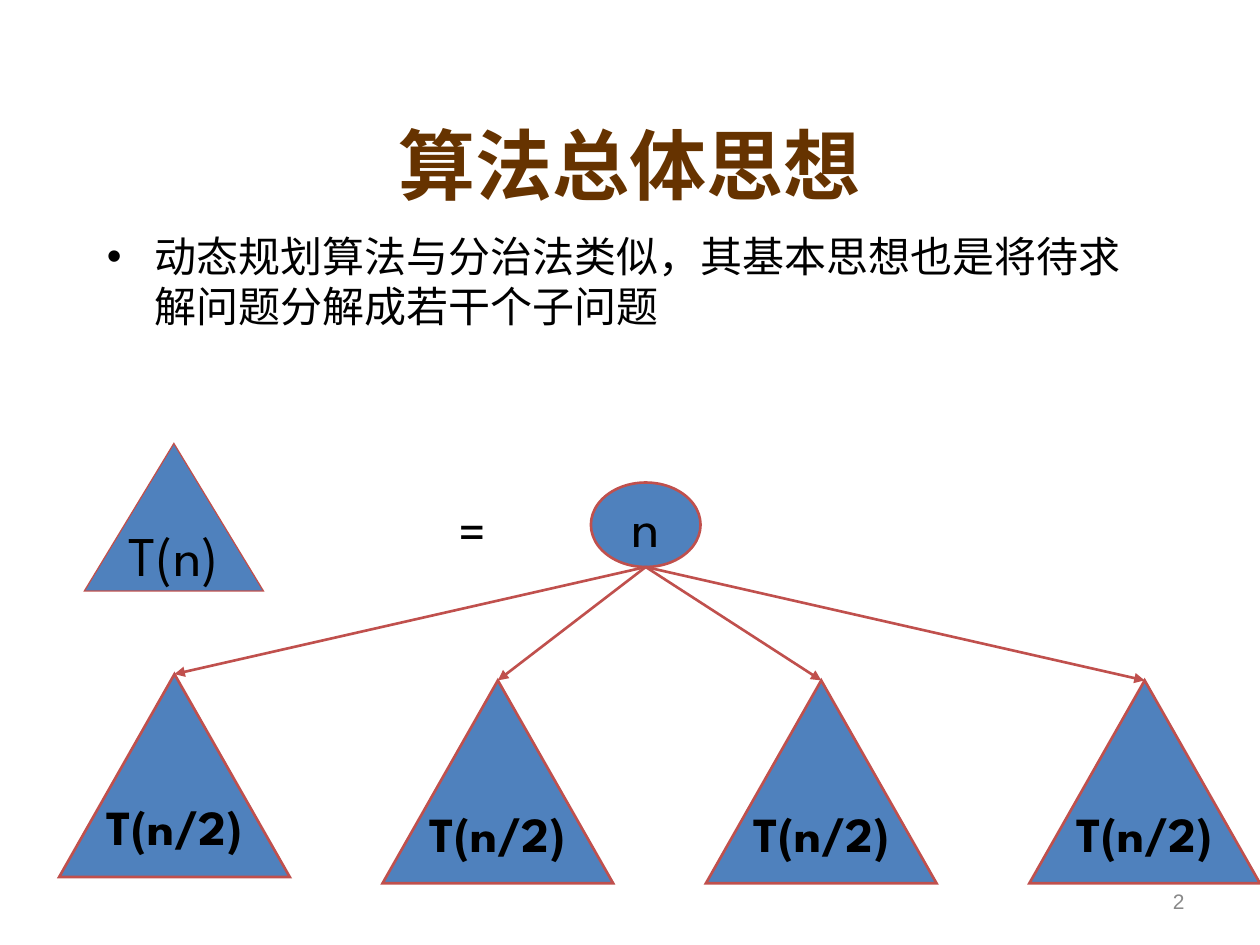
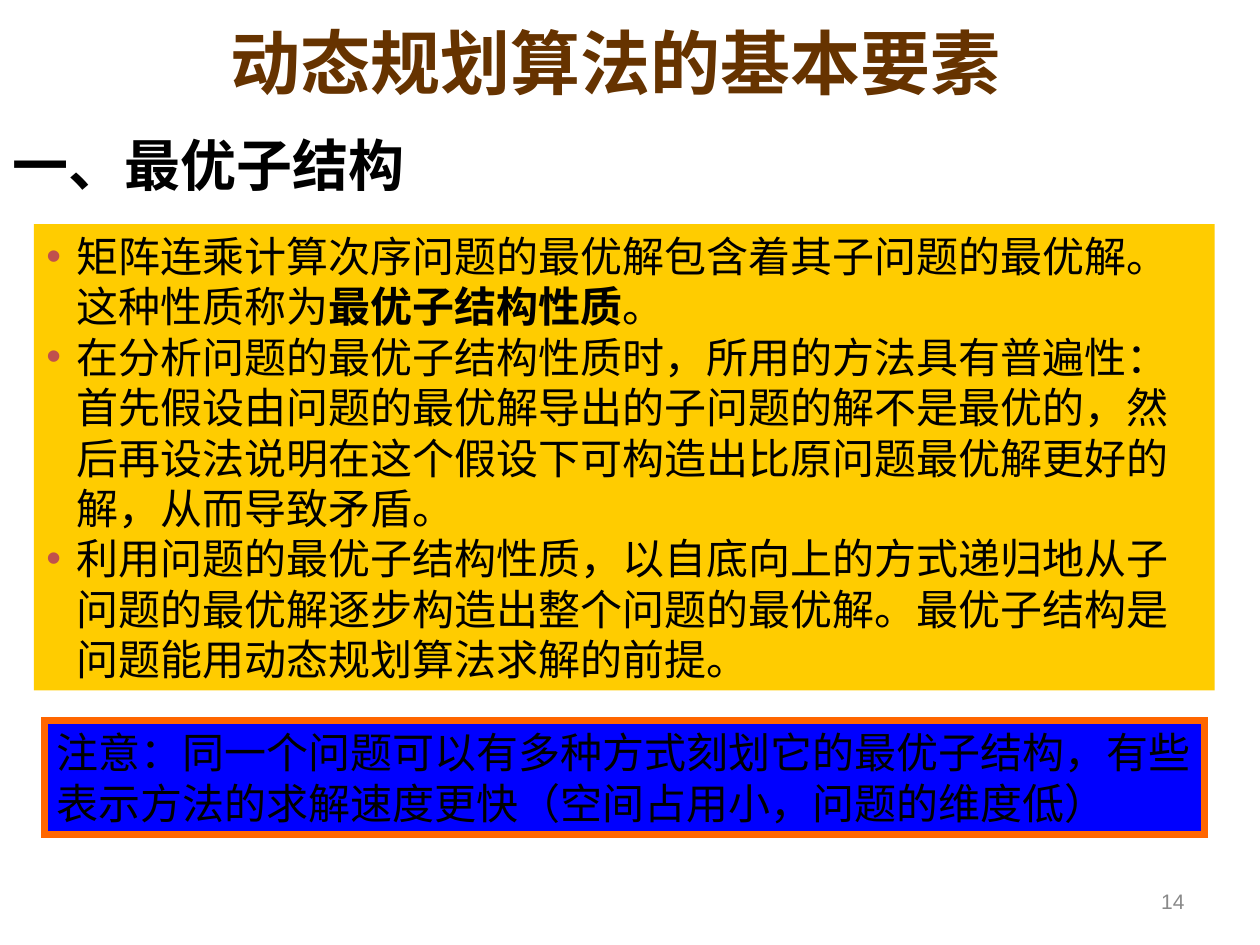
from lxml import etree
from pptx import Presentation
from pptx.dml.color import RGBColor
from pptx.enum.shapes import MSO_CONNECTOR, MSO_SHAPE
from pptx.enum.text import MSO_ANCHOR, MSO_AUTO_SIZE, PP_ALIGN
from pptx.oxml.ns import qn
from pptx.util import Inches, Pt

BLACK = RGBColor(0x00, 0x00, 0x00)
BROWN = RGBColor(0x66, 0x33, 0x00)
GREY = RGBColor(0x89, 0x89, 0x89)
BLUE = RGBColor(0x4F, 0x81, 0xBD)
RED = RGBColor(0xC0, 0x50, 0x4D)
GOLD = RGBColor(0xFF, 0xCC, 0x00)
DEEP_BLUE = RGBColor(0x00, 0x00, 0xFF)
ORANGE = RGBColor(0xFF, 0x66, 0x00)

ARIAL, TIMES = "Arial", "Times New Roman"
SPARTAN, CJK = "League Spartan", "Noto Sans CJK SC"

LEFT, CENTER, RIGHT = PP_ALIGN.LEFT, PP_ALIGN.CENTER, PP_ALIGN.RIGHT
TOP, MIDDLE, BOTTOM = MSO_ANCHOR.TOP, MSO_ANCHOR.MIDDLE, MSO_ANCHOR.BOTTOM
FIT, FIXED = MSO_AUTO_SIZE.SHAPE_TO_FIT_TEXT, MSO_AUTO_SIZE.NONE
TRIANGLE, OVAL, RECTANGLE = (
    MSO_SHAPE.ISOSCELES_TRIANGLE, MSO_SHAPE.OVAL, MSO_SHAPE.RECTANGLE)
STRAIGHT = MSO_CONNECTOR.STRAIGHT

SUBPROBLEMS = 4
ELEMENTS = [
    [("矩阵连乘计算次序问题的最优解包含着其子问题的最优解。这种性质称为", False),
     ("最优子结构性质", True), ("。", False)],
    [("在分析问题的最优子结构性质时，所用的方法具有普遍性：首先假设由问题的最优解"
      "导出的子问题的解不是最优的，然后再设法说明在这个假设下可构造出比原问题最优解"
      "更好的解，从而导致矛盾。", False)],
    [("利用问题的最优子结构性质，以自底向上的方式递归地从子问题的最优解逐步构造出"
      "整个问题的最优解。最优子结构是问题能用动态规划算法求解的前提。", False)],
]


def inches(box):
    """Turn a tuple of numbers into lengths."""
    return [Inches(value) for value in box]


def add_run(paragraph, text, size, font, color=BLACK, bold=False):
    """Append a run with its Latin and East Asian fonts."""
    run = paragraph.add_run()
    run.text = text
    formats = {"size": Pt(size), "name": font, "bold": bold}
    for name, value in formats.items():
        setattr(run.font, name, value)
    run.font.color.rgb = color
    east_asian = etree.SubElement(run.font._element, qn("a:ea"))
    east_asian.set("typeface", CJK)


def add_bullet(paragraph, indent, color):
    """Give a paragraph a hanging round bullet."""
    properties = paragraph._p.get_or_add_pPr()
    properties.set("marL", str(Inches(indent)))
    properties.set("indent", str(-Inches(indent)))
    bullet_color = etree.SubElement(properties, qn("a:buClr"))
    etree.SubElement(bullet_color, qn("a:srgbClr")).set("val", str(color))
    etree.SubElement(properties, qn("a:buFont")).set("typeface", ARIAL)
    etree.SubElement(properties, qn("a:buChar")).set("char", "•")


def prepare_frame(shape, align, anchor=TOP, wrap=True, grow=False):
    """Set the layout of a text frame and return its first paragraph."""
    frame = shape.text_frame
    formats = {"word_wrap": wrap, "vertical_anchor": anchor,
               "auto_size": FIT if grow else FIXED}
    for name, value in formats.items():
        setattr(frame, name, value)
    frame.paragraphs[0].alignment = align
    return frame.paragraphs[0]


def add_label(slide, box, text, size, font, align=LEFT, color=BLACK,
              bold=False, **layout):
    """Add a text box of one paragraph and return the paragraph."""
    paragraph = prepare_frame(
        slide.shapes.add_textbox(*inches(box)), align, **layout)
    add_run(paragraph, text, size, font, color, bold)
    return paragraph


def add_figure(slide, kind, box, fill, line=None, width=1.5):
    """Add a flat filled shape."""
    shape = slide.shapes.add_shape(kind, *inches(box))
    shape.shadow.inherit = False
    shape.fill.solid()
    shape.fill.fore_color.rgb = fill
    if line is None:
        shape.line.fill.background()
    else:
        shape.line.color.rgb = line
        shape.line.width = Pt(width)
        etree.SubElement(shape.line._get_or_add_ln(), qn("a:miter")).set(
            "lim", "800000")
    return shape


def add_node(slide, kind, box, text, size, bold=False, width=1.5):
    """Add a labelled node of the recursion diagram."""
    node = add_figure(slide, kind, box, BLUE, RED, width)
    paragraph = prepare_frame(node, CENTER, MIDDLE, wrap=False)
    add_run(paragraph, text, size, SPARTAN, bold=bold)
    return node


def add_branch(slide, root, child):
    """Draw an arrow from the bottom of the root to the tip of a child."""
    start_x, start_y = root.left + root.width // 2, root.top + root.height
    branch = slide.shapes.add_connector(
        STRAIGHT, start_x, start_y, child.left + child.width // 2, child.top)
    branch.end_connect(child, 0)
    branch.line.color.rgb = RED
    branch.line.width = Pt(1.5)
    etree.SubElement(branch.line._get_or_add_ln(), qn("a:tailEnd")).set(
        "type", "triangle")
    etree.SubElement(branch._element.spPr, qn("a:effectLst"))


def add_base(deck, title, title_box, title_size, title_anchor, number):
    """Add a blank slide with its title and page number."""
    slide = deck.slides.add_slide(deck.slide_layouts[6])
    add_label(slide, (7.17, 6.95, 2.33, 0.4), number, 12, ARIAL, RIGHT, GREY,
              anchor=MIDDLE)
    add_label(slide, title_box, title, title_size, TIMES, CENTER, BROWN, True,
              anchor=title_anchor)
    return slide


def add_recursion(slide, left, top, width):
    """Draw T(n) as a root with equally spaced subproblems."""
    add_node(slide, TRIANGLE, (left + 0.2, top, 1.42, 1.17), "T(n)", 32,
             width=0.75)
    equals = add_label(slide, (left + 2.7, top + 0.36, 1.17, 0.64), "=", 32,
                       SPARTAN, CENTER, grow=True)
    equals.space_before = Pt(20)
    root = add_node(slide, OVAL, (left + 4.22, top + 0.31, 0.87, 0.67), "n", 32)
    child_width = 1.83
    step = (width - child_width) / (SUBPROBLEMS - 1)
    for index in range(SUBPROBLEMS):
        child_top = top + (1.88 if index else 1.83)
        child = add_node(
            slide, TRIANGLE,
            (left + index * step, child_top, child_width, 1.61),
            "T(n/2)", 28, bold=True)
        add_branch(slide, root, child)


def add_elements(slide, box):
    """Add the gold panel with its bulleted statements."""
    panel = add_figure(slide, RECTANGLE, box, GOLD)
    paragraph = prepare_frame(panel, LEFT, grow=True)
    for index, statement in enumerate(ELEMENTS):
        if index:
            paragraph = panel.text_frame.add_paragraph()
            paragraph.alignment = LEFT
        add_bullet(paragraph, 0.24, RED)
        for text, bold in statement:
            add_run(paragraph, text, 24, ARIAL, bold=bold)


def add_notice(slide, box, text):
    """Add the framed blue remark."""
    notice = add_figure(slide, RECTANGLE, box, DEEP_BLUE, ORANGE, 4)
    add_run(prepare_frame(notice, LEFT, grow=True), text, 24, ARIAL)


def build_idea_slide(deck):
    """Build the slide on the general idea."""
    slide = add_base(deck, "算法总体思想", (0.75, 0.67, 8.5, 1.25), 44, MIDDLE, "2")
    idea = add_label(
        slide, (0.75, 1.78, 8.5, 4.5),
        "动态规划算法与分治法类似，其基本思想也是将待求解问题分解成若干个子问题",
        24, CJK)
    idea.space_before = Pt(6)
    add_bullet(idea, 0.38, BLACK)
    add_recursion(slide, 0.47, 3.52, 9.53)


def build_elements_slide(deck):
    """Build the slide on optimal substructure."""
    slide = add_base(deck, "动态规划算法的基本要素", (1.38, 0, 7.01, 0.87), 40,
                     BOTTOM, "14")
    add_label(slide, (0, 0.99, 3.35, 0.64), "一、最优子结构", 32, ARIAL,
              bold=True, wrap=False)
    add_elements(slide, (0.27, 1.78, 9.37, 3.7))
    add_notice(slide, (0.35, 5.72, 9.21, 0.9),
               "注意：同一个问题可以有多种方式刻划它的最优子结构，"
               "有些表示方法的求解速度更快（空间占用小，问题的维度低）")


def main():
    """Build and save the deck."""
    deck = Presentation()
    deck.slide_width, deck.slide_height = inches((10, 7.5))
    build_idea_slide(deck)
    build_elements_slide(deck)
    deck.save("out.pptx")


if __name__ == "__main__":
    main()
